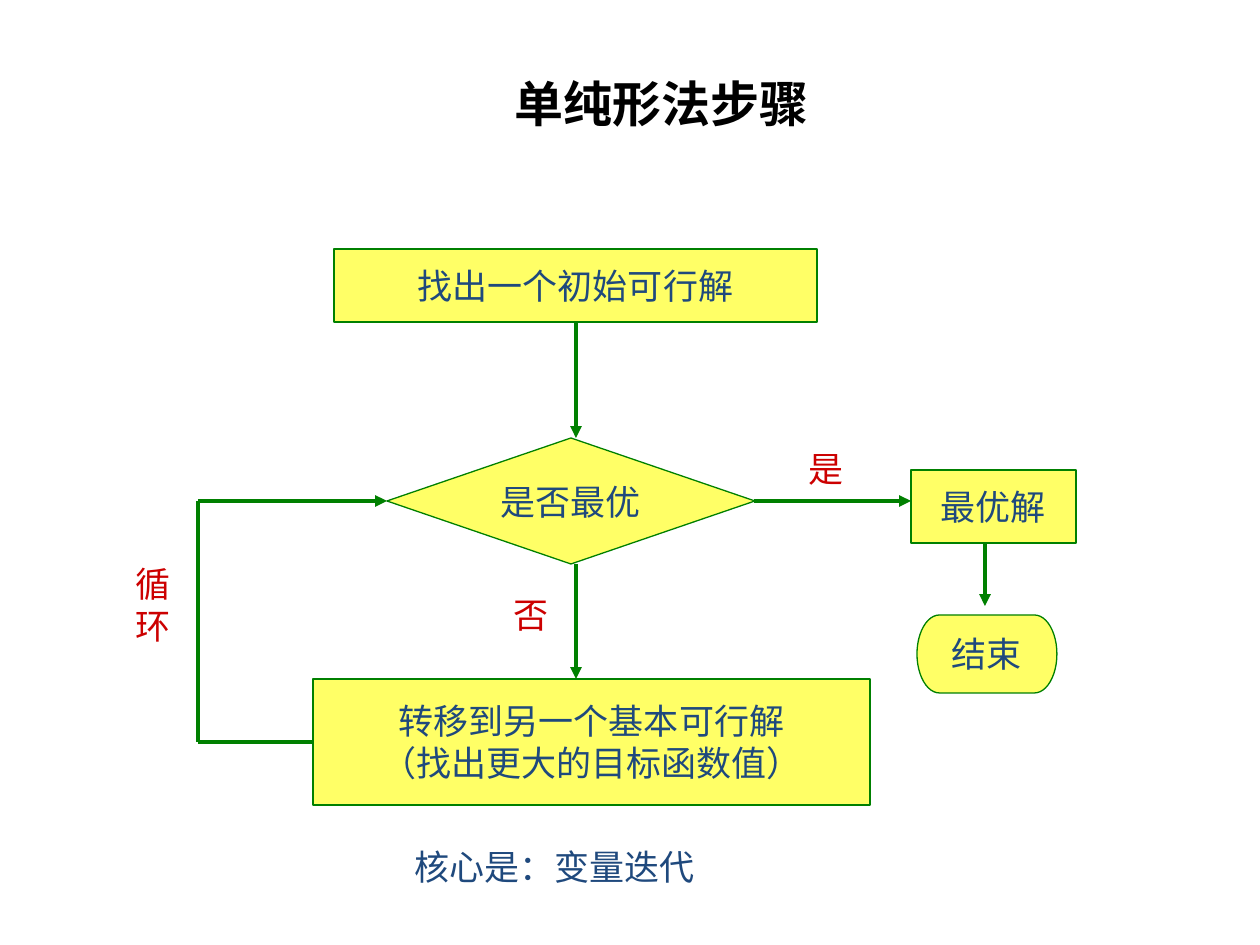
from collections import namedtuple

from pptx import Presentation
from pptx.dml.color import RGBColor as Color
from pptx.enum.shapes import MSO_CONNECTOR as Connector, MSO_SHAPE as Shape
from pptx.enum.text import MSO_ANCHOR as Anchor, PP_ALIGN as Align
from pptx.oxml.ns import qn
from pptx.util import Pt
from lxml.etree import SubElement

Theme = namedtuple("Theme", "font black ink accent fill line title body leading thin thick")
theme = Theme(
    font="Noto Sans CJK SC",
    black=Color.from_string("000000"),
    ink=Color.from_string("1F497D"),
    accent=Color.from_string("CC0000"),
    fill=Color.from_string("FFFF66"),
    line=Color.from_string("008000"),
    title=Pt(28),
    body=Pt(20),
    leading=Pt(24),
    thin=Pt(0.75),
    thick=Pt(2.25),
)
SCALE = 914400 / 126


def px(*lengths):
    return [round(length * SCALE) for length in lengths]


def write(box, text, color=theme.ink, size=theme.body, bold=False,
          align=Align.CENTER, anchor=Anchor.MIDDLE, wrap=False, leading=theme.leading):
    frame = box.text_frame
    frame.text = text
    frame.word_wrap = wrap
    frame.vertical_anchor = anchor
    for para in frame.paragraphs:
        para.alignment = align
        para.line_spacing = leading
        for span in para.runs:
            span.font.name = theme.font
            span.font.size = size
            span.font.bold = bold
            span.font.color.rgb = color
            SubElement(span.font._element, qn("a:ea"), typeface=theme.font)


deck = Presentation()
deck.slide_width, deck.slide_height = px(1260, 945)
page = deck.slides.add_slide(deck.slide_layouts[5])

title = page.shapes.title
title.left, title.top, title.width, title.height = px(63, 45, 1197, 116)
write(title, "单纯形法步骤", color=theme.black, size=theme.title, bold=True,
      wrap=True, leading=None)

steps = [
    (Shape.RECTANGLE, (334, 249, 483, 73), "找出一个初始可行解"),
    (Shape.DIAMOND, (387, 438, 368, 126), "是否最优"),
    (Shape.RECTANGLE, (313, 679, 557, 126), "转移到另一个基本可行解\n（找出更大的目标函数值）"),
    (Shape.RECTANGLE, (911, 470, 165, 73), "最优解"),
    (Shape.FLOWCHART_TERMINATOR, (917, 615, 140, 78), "结束"),
]
for kind, place, text in steps:
    box = page.shapes.add_shape(kind, *px(*place))
    box.shadow.inherit = False
    box.fill.solid()
    box.fill.fore_color.rgb = theme.fill
    box.line.color.rgb = theme.line
    box.line.width = theme.thin
    write(box, text)

flows = [
    ((576, 322, 576, 438), True),
    ((576, 564, 576, 679), True),
    ((754, 501, 911, 501), True),
    ((198, 501, 387, 501), True),
    ((198, 501, 198, 742), False),
    ((198, 742, 313, 742), False),
    ((985, 543, 985, 606), True),
]
for ends, arrow in flows:
    flow = page.shapes.add_connector(Connector.STRAIGHT, *px(*ends))
    flow.line.color.rgb = theme.line
    flow.line.width = theme.thick
    if arrow:
        SubElement(flow.line._get_or_add_ln(), qn("a:tailEnd"), type="triangle")
    SubElement(flow._element.spPr, qn("a:effectLst"))

labels = [
    ((796, 441, 60, 55), "是", theme.accent),
    ((501, 587, 60, 55), "否", theme.accent),
    ((123, 556, 60, 97), "循\n环", theme.accent),
    ((402, 839, 309, 55), "核心是：变量迭代", theme.ink),
]
for place, text, color in labels:
    label = page.shapes.add_textbox(*px(*place))
    write(label, text, color=color, align=Align.LEFT, anchor=Anchor.TOP)

deck.save("out.pptx")
